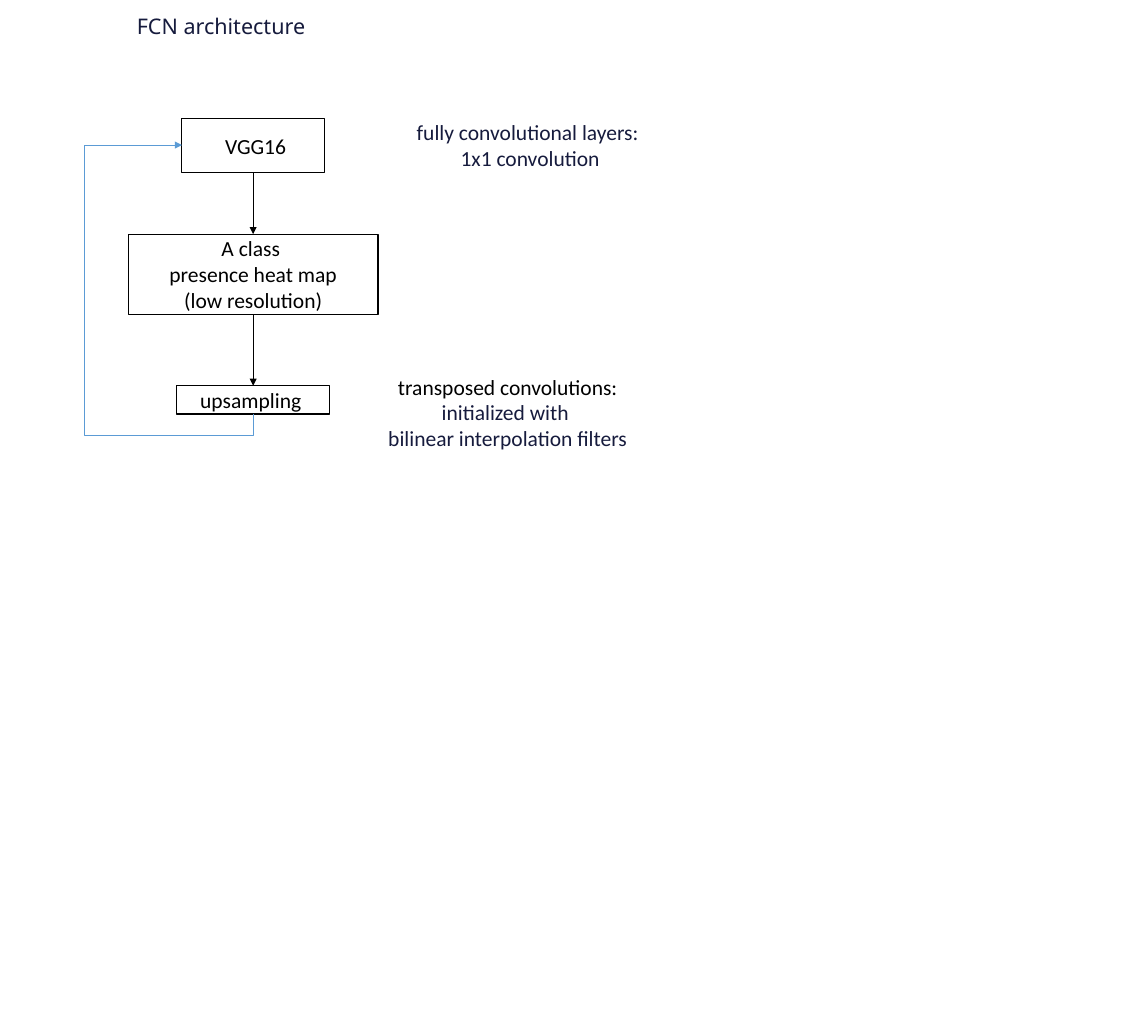
"""Draw the FCN architecture flow with its side notes."""
from dataclasses import dataclass

from lxml.etree import SubElement
from pptx import Presentation
from pptx.dml.color import RGBColor as Rgb
from pptx.enum.shapes import MSO_CONNECTOR as Conn, MSO_SHAPE as Kind
from pptx.enum.text import MSO_ANCHOR as Anchor, MSO_AUTO_SIZE as Fit, PP_ALIGN as Align
from pptx.oxml.ns import qn
from pptx.shapes.autoshape import Shape
from pptx.shapes.connector import Connector
from pptx.slide import Slide
from pptx.util import Inches, Pt

INK = {"black": "000000", "navy": "161B3D", "blue": "5B9BD5", "white": "FFFFFF"}


@dataclass
class Block:
    """A place on the slide and its lines of text."""
    left: float
    top: float
    width: float
    height: float
    lines: list[str]
    inks: tuple[str, ...] = ("black",)
    font: str = "Calibri"
    align: Align = Align.CENTER

    def rect(self) -> list[Inches]:
        """Return the place as lengths."""
        return [Inches(n) for n in (self.left, self.top, self.width, self.height)]


STEPS = [
    Block(2.11, 1.38, 1.66, 0.62, [" VGG16"]),
    Block(1.49, 2.72, 2.9, 0.93, ["A class ", "presence heat map", "(low resolution)"]),
    Block(2.05, 4.48, 1.78, 0.33, ["upsampling "]),
]
NOTES = [
    Block(1.49, 0.1, 2.22, 0.4, ["FCN architecture"], ("navy",), "Noto Sans", Align.LEFT),
    Block(4.72, 1.33, 2.87, 0.71, ["fully convolutional layers: ", "1x1 convolution"], ("navy",)),
    Block(4.39, 4.29, 3.01, 1.01,
          ["transposed convolutions:", "initialized with ", "bilinear interpolation filters"],
          ("black", "navy")),
]


def tint(name: str) -> Rgb:
    """Return a named colour."""
    return Rgb.from_string(INK[name])


def write(shape: Shape, lines: list[str], *, inks: tuple[str, ...], font: str,
          align: Align, size: float = 18) -> None:
    """Fill a shape with lines, the last ink serving all later lines."""
    frame = shape.text_frame
    for i, line in enumerate(lines):
        para = frame.paragraphs[0] if i == 0 else frame.add_paragraph()
        para.alignment = align
        run = para.add_run()
        run.text = line
        run.font.name, run.font.size = font, Pt(size)
        run.font.color.rgb = tint(inks[min(i, len(inks) - 1)])


def add_step(slide: Slide, block: Block) -> Shape:
    """Add an outlined box for one step."""
    shape = slide.shapes.add_shape(Kind.RECTANGLE, *block.rect())
    shape.shadow.inherit = False
    shape.fill.solid()
    shape.fill.fore_color.rgb = tint("white")
    shape.line.color.rgb = tint("black")
    shape.line.width = Pt(1)
    shape.text_frame.word_wrap = True
    shape.text_frame.vertical_anchor = Anchor.MIDDLE
    write(shape, block.lines, inks=block.inks, font=block.font, align=block.align)
    return shape


def add_note(slide: Slide, block: Block) -> None:
    """Add a free text note."""
    shape = slide.shapes.add_textbox(*block.rect())
    shape.text_frame.word_wrap = False
    shape.text_frame.auto_size = Fit.SHAPE_TO_FIT_TEXT
    write(shape, block.lines, inks=block.inks, font=block.font, align=block.align)


def add_arrow(slide: Slide, kind: Conn, ends: tuple[float, ...], ink: str) -> Connector:
    """Add a thin connector with a triangle at its end."""
    line = slide.shapes.add_connector(kind, *[Inches(n) for n in ends])
    line.line.color.rgb = tint(ink)
    line.line.width = Pt(0.5)
    SubElement(line.line._get_or_add_ln(), qn("a:tailEnd"), type="triangle")
    SubElement(line._element.spPr, qn("a:effectLst"))
    return line


def add_loop(slide: Slide) -> None:
    """Add the bent arrow from the last step back to the first."""
    props = add_arrow(slide, Conn.ELBOW, (4.09, 2.83, 0.97, 3.66), "blue")._element.spPr
    props.find(qn("a:xfrm")).set("rot", str(90 * 60000))
    geom = props.find(qn("a:prstGeom"))
    geom.set("prst", "bentConnector4")
    guides = geom.find(qn("a:avLst"))
    for name, share in (("adj1", -8000), ("adj2", 237400)):
        SubElement(guides, qn("a:gd"), name=name, fmla=f"val {share}")


def main() -> None:
    """Build and save the slide."""
    deck = Presentation()
    deck.slide_width, deck.slide_height = Inches(13.33), Inches(12)
    slide = deck.slides.add_slide(deck.slide_layouts[6])
    steps = [add_step(slide, block) for block in STEPS]
    for block in NOTES:
        add_note(slide, block)
    for above, below in zip(steps, steps[1:]):
        arrow = add_arrow(slide, Conn.STRAIGHT, (0, 0, 0, 0), "black")
        arrow.begin_connect(above, 2)
        arrow.end_connect(below, 0)
    add_loop(slide)
    deck.save("out.pptx")


if __name__ == "__main__":
    main()
